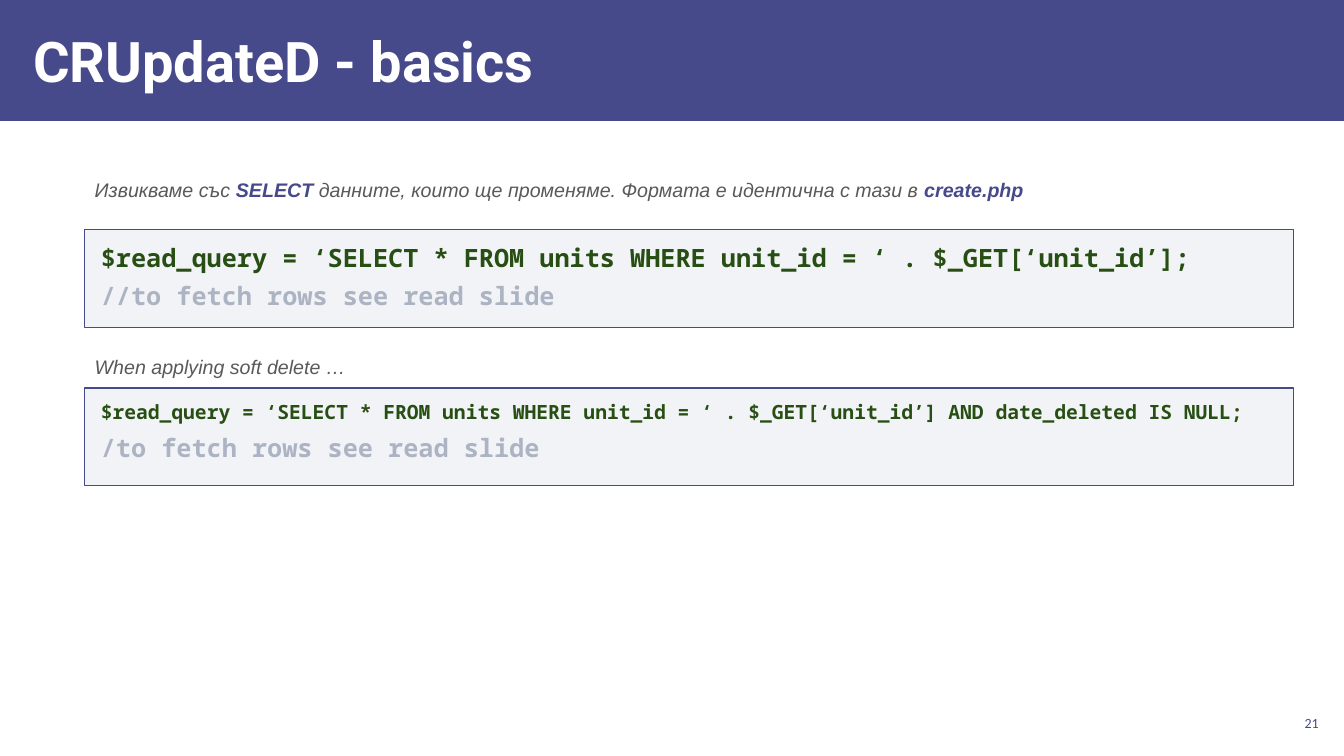
from dataclasses import dataclass

from lxml import etree
from pptx import Presentation
from pptx.dml.color import RGBColor
from pptx.enum.shapes import MSO_SHAPE
from pptx.enum.text import MSO_ANCHOR, PP_ALIGN
from pptx.oxml.ns import qn
from pptx.util import Inches, Pt

RECT = MSO_SHAPE.RECTANGLE
TOP, MIDDLE = MSO_ANCHOR.TOP, MSO_ANCHOR.MIDDLE
LEFT, RIGHT = PP_ALIGN.LEFT, PP_ALIGN.RIGHT


@dataclass(frozen=True)
class Theme:
    indigo: str = "474A8A"
    white: str = "FFFFFF"
    grey: str = "595959"
    code: str = "274E13"
    muted: str = "ACB4C3"
    title_size: int = 40
    code_size: int = 18
    small_size: int = 14
    number_size: int = 10


THEME = Theme()
CONTENT_LEFT = 0.84
TITLE = dict(name="Roboto", size=THEME.title_size, color=THEME.white, bold=True)
NUMBER = dict(name="Calibri", size=THEME.number_size, color=THEME.indigo)
NOTE = dict(name="Arial", size=THEME.small_size, color=THEME.grey, italic=True)
KEYWORD = NOTE | dict(color=THEME.indigo, bold=True)
CODE = dict(name="Noto Sans Mono", size=THEME.code_size, color=THEME.code, bold=True)
LONG_CODE = CODE | dict(size=THEME.small_size)
COMMENT = CODE | dict(color=THEME.muted)


def set_frame(tf, insets, anchor=TOP):
    """Set wrapping, anchor and (horizontal, vertical) insets in inches."""
    tf.word_wrap = True
    tf.vertical_anchor = anchor
    tf.margin_left = tf.margin_right = Inches(insets[0])
    tf.margin_top = tf.margin_bottom = Inches(insets[1])


def add_runs(p, runs):
    """Add (text, format) pairs to a paragraph."""
    for text, style in runs:
        r = p.add_run()
        r.text = text
        for key, value in style.items():
            if key == "color":
                r.font.color.rgb = RGBColor.from_string(value)
            else:
                setattr(r.font, key, Pt(value) if key == "size" else value)


def add_text(slide, box, runs, insets, anchor=TOP, align=LEFT, spacing=1.0):
    tf = slide.shapes.add_textbox(*map(Inches, box)).text_frame
    set_frame(tf, insets, anchor)
    p = tf.paragraphs[0]
    p.alignment = align
    p.line_spacing = spacing
    add_runs(p, runs)


def add_rect(slide, box, color):
    sp = slide.shapes.add_shape(RECT, *map(Inches, box))
    sp.shadow.inherit = False
    sp.fill.solid()
    sp.fill.fore_color.rgb = RGBColor.from_string(color)
    sp.line.fill.background()
    return sp


def set_opacity(sp, percent):
    color = sp.fill._xPr.find(f"{qn('a:solidFill')}/{qn('a:srgbClr')}")
    etree.SubElement(color, qn("a:alpha"), val=str(percent * 1000))


def add_note(slide, top, runs):
    add_text(slide, (CONTENT_LEFT, top, 11.89, 0.59), runs, (0.1, 0.1), spacing=1.15)


def add_code(slide, top, lines):
    """Add a tinted, outlined box with one paragraph per (text, format) line."""
    sp = add_rect(slide, (CONTENT_LEFT, top, 11.99, 0.97), THEME.muted)
    set_opacity(sp, 15)
    sp.line.color.rgb = RGBColor.from_string(THEME.indigo)
    sp.line.width = Pt(1)
    tf = sp.text_frame
    set_frame(tf, (0.16, 0.12))
    for i, line in enumerate(lines):
        p = tf.add_paragraph() if i else tf.paragraphs[0]
        p.alignment = LEFT
        p.space_before = Pt(6 if i else 0)
        add_runs(p, [line])


def main():
    prs = Presentation()
    prs.slide_width, prs.slide_height = Inches(13.33), Inches(7.5)
    slide = prs.slides.add_slide(prs.slide_layouts[6])

    add_rect(slide, (0, 0, 13.33, 1.2), THEME.indigo)
    add_text(slide, (0.21, 0.11, 10.4, 0.97), [("CRUpdateD - basics", TITLE)],
             (0.12, 0.04), MIDDLE)

    add_note(slide, 1.63, [
        ("Извикваме със ", NOTE),
        ("SELECT", KEYWORD),
        (" данните, които ще променяме. Формата е идентична с тази в ", NOTE),
        ("create.php", KEYWORD),
    ])
    add_code(slide, 2.28, [
        ("$read_query = ‘SELECT * FROM units WHERE unit_id = ‘ . $_GET[‘unit_id’];", CODE),
        ("//to fetch rows see read slide", COMMENT),
    ])

    add_note(slide, 3.39, [("When applying soft delete …", NOTE)])
    add_code(slide, 3.85, [
        ("$read_query = ‘SELECT * FROM units WHERE unit_id = ‘ . $_GET[‘unit_id’]"
         " AND date_deleted IS NULL;", LONG_CODE),
        ("/to fetch rows see read slide", COMMENT),
    ])

    add_text(slide, (12.65, 7, 0.47, 0.34), [("21", NUMBER)], (0.04, 0.04), MIDDLE, RIGHT)
    prs.save("out.pptx")


if __name__ == "__main__":
    main()
